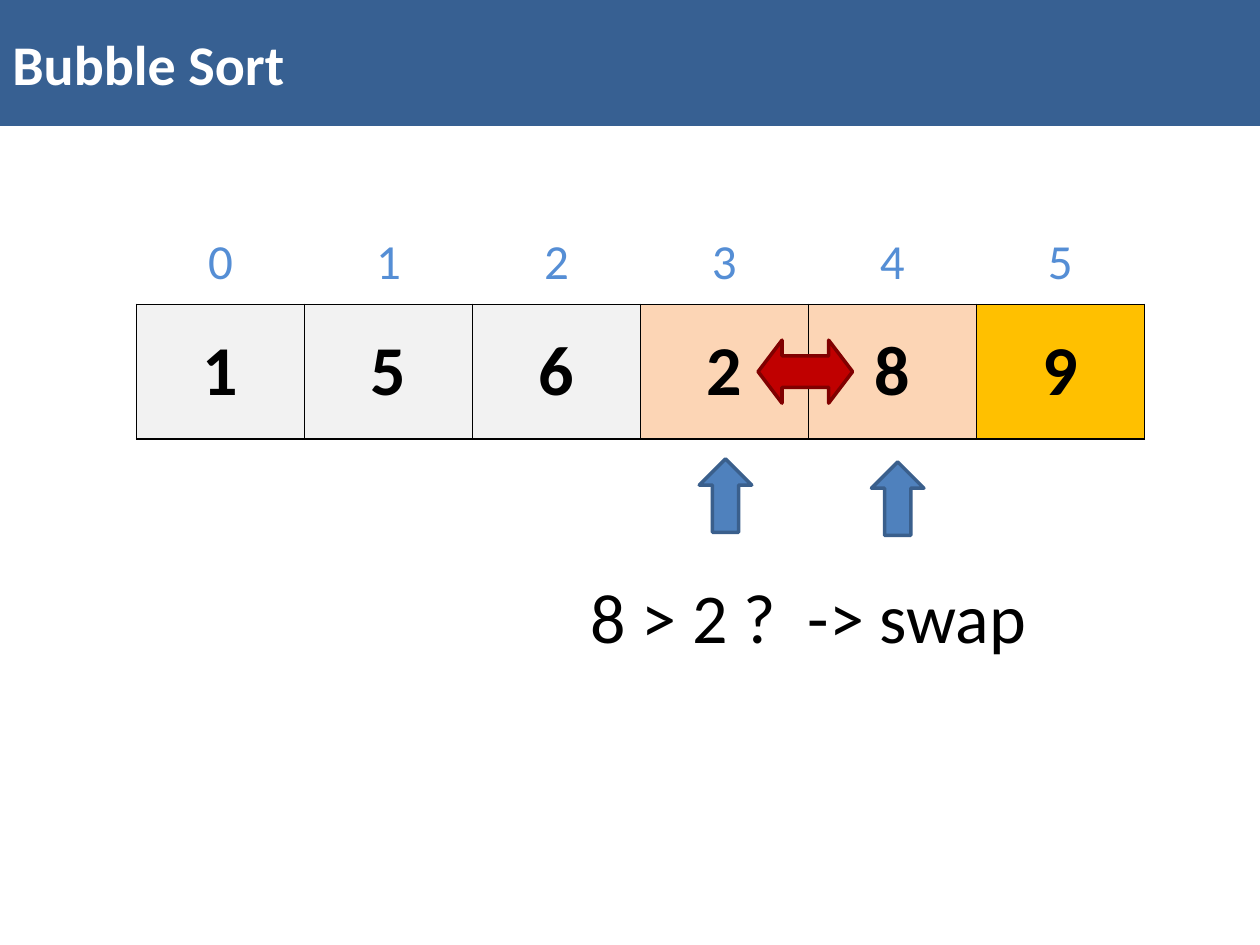
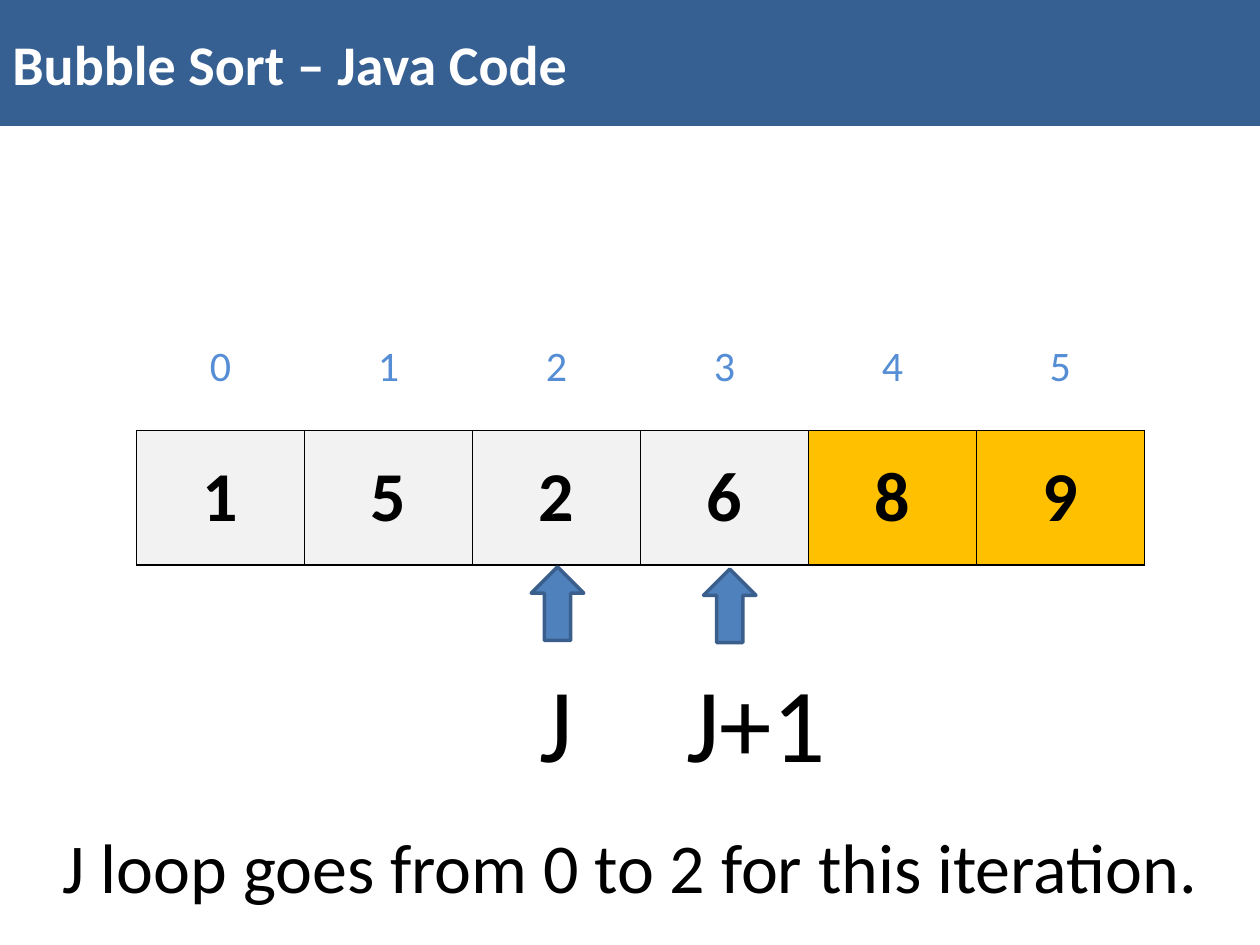
from lxml import etree
from pptx import Presentation
from pptx.dml.color import RGBColor
from pptx.enum.shapes import MSO_SHAPE
from pptx.enum.text import MSO_ANCHOR, PP_ALIGN
from pptx.oxml.ns import qn
from pptx.util import Emu, Pt

RECT = MSO_SHAPE.RECTANGLE
UP = MSO_SHAPE.UP_ARROW
SWAP = MSO_SHAPE.LEFT_RIGHT_ARROW
MIDDLE = MSO_ANCHOR.MIDDLE
LEFT = PP_ALIGN.LEFT
CENTER = PP_ALIGN.CENTER

# Colours
WHITE = RGBColor(0xFF, 0xFF, 0xFF)
BLACK = RGBColor(0x00, 0x00, 0x00)
NAVY = RGBColor(0x37, 0x60, 0x92)
SKY = RGBColor(0x55, 0x8E, 0xD5)
BLUE = RGBColor(0x4F, 0x81, 0xBD)
EDGE = RGBColor(0x3A, 0x5F, 0x8C)
RED = RGBColor(0xC0, 0x00, 0x00)
MAROON = RGBColor(0x80, 0x00, 0x00)
GREY = RGBColor(0xF2, 0xF2, 0xF2)   # not yet sorted
PEACH = RGBColor(0xFC, 0xD5, 0xB5)  # being swapped
GOLD = RGBColor(0xFF, 0xC0, 0x00)   # in final place

# Sizes in px, 120 to the inch
FONT = "Calibri"
WIDE, HIGH = 1200, 900
ROW_X, CELL_W, CELL_H, INDEX_H = 130, 160, 128, 80


def px(n):
    return Emu(n * 7620)


def box(x, y, w, h):
    return px(x), px(y), px(w), px(h)


def write(frame, text, size, color, bold=False, align=CENTER):
    frame.text = text
    para = frame.paragraphs[0]
    para.alignment = align
    font = para.runs[0].font
    font.name, font.size, font.bold = FONT, Pt(size), bold
    font.color.rgb = color


def add_block(slide, kind, area, fill, edge=None):
    shape = slide.shapes.add_shape(kind, *box(*area))
    shape.shadow.inherit = False
    shape.fill.solid()
    shape.fill.fore_color.rgb = fill
    if edge is None:
        shape.line.fill.background()
    else:
        shape.line.color.rgb = edge
        shape.line.width = Pt(2)
    return shape


def add_label(slide, area, text, size):
    frame = slide.shapes.add_textbox(*box(*area)).text_frame
    frame.word_wrap = True
    write(frame, text, size, BLACK)


def set_border(cell, color):
    props = cell._tc.get_or_add_tcPr()
    for i, side in enumerate(("lnL", "lnR", "lnT", "lnB")):
        line = etree.Element(qn("a:" + side), w=str(Pt(1)))
        if color is None:
            etree.SubElement(line, qn("a:noFill"))
        else:
            fill = etree.SubElement(line, qn("a:solidFill"))
            etree.SubElement(fill, qn("a:srgbClr"), val=str(color))
        props.insert(i, line)


def add_row(slide, y, h, texts, size, color, bold=False, fills=None, edge=None):
    count = len(texts)
    area = box(ROW_X, y, CELL_W * count, h)
    table = slide.shapes.add_table(1, count, *area).table
    table.first_row = table.horz_banding = False
    for i, text in enumerate(texts):
        cell = table.cell(0, i)
        cell.vertical_anchor = MIDDLE
        write(cell.text_frame, text, size, color, bold)
        if fills:
            cell.fill.solid()
            cell.fill.fore_color.rgb = fills[i]
        else:
            cell.fill.background()
        set_border(cell, edge)


def add_array(slide, y, values, fills, index_y, index_size):
    add_row(slide, y, CELL_H, values, 40, BLACK, True, fills, BLACK)
    index = [str(i) for i in range(len(values))]
    add_row(slide, index_y, INDEX_H, index, index_size, SKY)


def add_marker(slide, x, y):
    add_block(slide, UP, (x, y, 50, 70), BLUE, EDGE)


def add_page(deck, title):
    slide = deck.slides.add_slide(deck.slide_layouts[6])
    band = add_block(slide, RECT, (0, 0, WIDE, 120), NAVY)
    band.text_frame.vertical_anchor = MIDDLE
    write(band.text_frame, title, 32, WHITE, True, LEFT)
    return slide


def draw_swap(deck):
    slide = add_page(deck, "Bubble Sort")
    fills = [GREY] * 3 + [PEACH] * 2 + [GOLD]
    add_array(slide, 290, "156289", fills, 210, 28)
    add_marker(slide, 666, 437)
    add_label(slide, (530, 540, 480, 93), "8 > 2 ?  -> swap", 40)
    add_marker(slide, 830, 440)
    arrow = add_block(slide, SWAP, (722, 324, 90, 60), RED, MAROON)
    arrow.adjustments[1] = 0.38


def draw_loop(deck):
    slide = add_page(deck, "Bubble Sort – Java Code")
    fills = [GREY] * 4 + [GOLD] * 2
    add_array(slide, 410, "152689", fills, 310, 24)
    add_marker(slide, 506, 540)
    add_marker(slide, 670, 542)
    add_label(slide, (480, 620, 100, 133), "J", 60)
    add_label(slide, (600, 620, 240, 133), "J+1", 60)
    note = "J loop goes from 0 to 2 for this iteration."
    add_label(slide, (0, 778, WIDE, 93), note, 40)


def main():
    deck = Presentation()
    deck.slide_width, deck.slide_height = px(WIDE), px(HIGH)
    draw_swap(deck)
    draw_loop(deck)
    deck.save("out.pptx")


if __name__ == "__main__":
    main()
